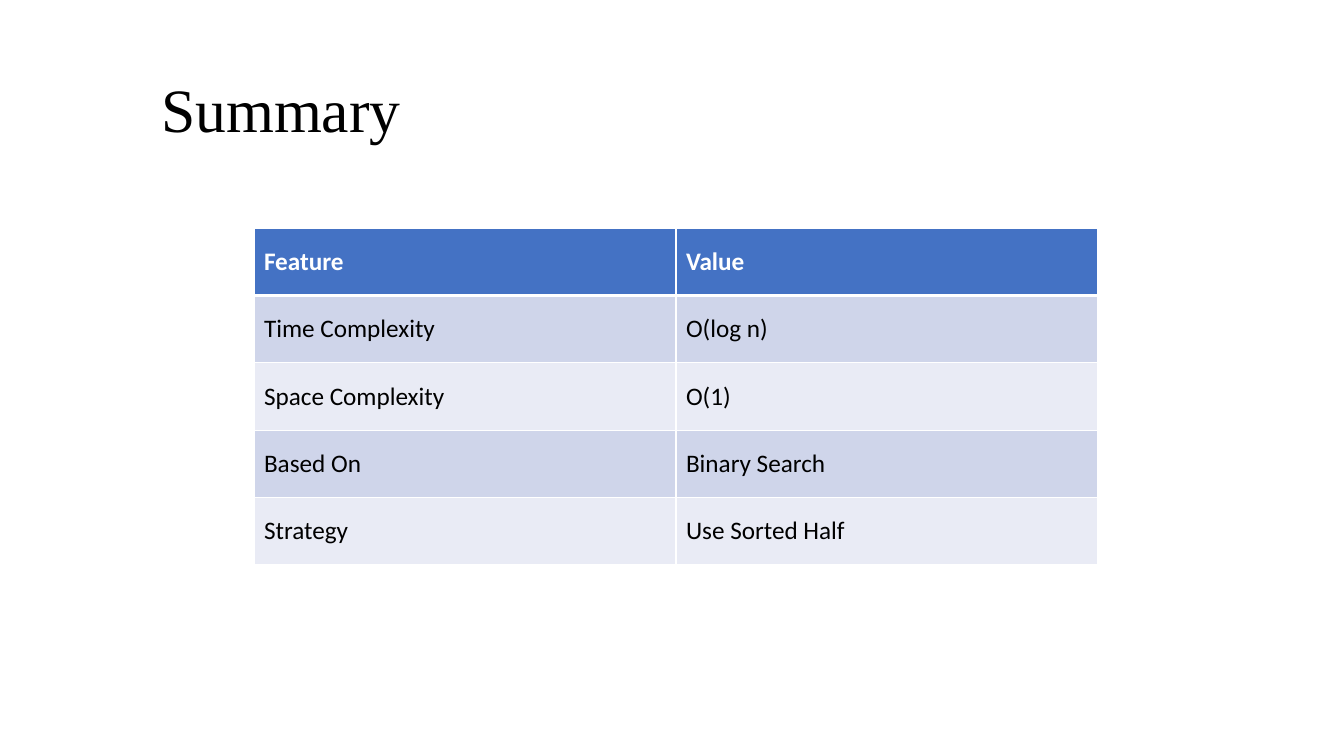
import pptx
import pptx.dml.color
import pptx.enum.text
import pptx.oxml
import pptx.oxml.ns
import pptx.util

EMU_PER_PX = 914400 / 100.8
ROWS = [
    ("Feature", "Value"),
    ("Time Complexity", "O(log n)"),
    ("Space Complexity", "O(1)"),
    ("Based On", "Binary Search"),
    ("Strategy", "Use Sorted Half"),
]
HEADER_FILL = "4472C4"
BAND_FILLS = ("CFD5EA", "E9EBF5")


def px(length):
    return pptx.util.Emu(round(length * EMU_PER_PX))


def color(value):
    return pptx.dml.color.RGBColor.from_string(value)


def write(frame, text, font="Calibri", size=18, fill="000000", bold=False, spacing=None):
    para = frame.paragraphs[0]
    para.alignment = pptx.enum.text.PP_ALIGN.LEFT
    para.line_spacing = spacing
    span = para.add_run()
    span.text = text
    span.font.name = font
    span.font.size = pptx.util.Pt(size)
    span.font.bold = bold
    span.font.color.rgb = color(fill)


def add_border(cell, side, points):
    width = pptx.util.Pt(points)
    cell._tc.get_or_add_tcPr().append(pptx.oxml.parse_xml(
        f'<a:ln{side} {pptx.oxml.ns.nsdecls("a")} w="{width}">'
        '<a:solidFill><a:srgbClr val="FFFFFF"/></a:solidFill>'
        f'</a:ln{side}>'
    ))


def add_title(page, left, top, width, height):
    title = page.shapes.title
    title.left, title.top = px(left), px(top)
    title.width, title.height = px(width), px(height)
    title.text_frame.vertical_anchor = pptx.enum.text.MSO_ANCHOR.MIDDLE
    write(title.text_frame, "Summary", font="Times New Roman", size=44, spacing=0.9)


def add_summary_table(page, left, top, width, height):
    table = page.shapes.add_table(
        len(ROWS), len(ROWS[0]), px(left), px(top), px(width), px(height)
    ).table
    for row_index, texts in enumerate(ROWS):
        header = row_index == 0
        fill = HEADER_FILL if header else BAND_FILLS[(row_index - 1) % 2]
        for column_index, text in enumerate(texts):
            cell = table.cell(row_index, column_index)
            cell.vertical_anchor = pptx.enum.text.MSO_ANCHOR.MIDDLE
            add_border(cell, "L", 1)
            add_border(cell, "R", 1)
            add_border(cell, "T", 3 if row_index == 1 else 1)
            add_border(cell, "B", 3 if header else 1)
            cell.fill.solid()
            cell.fill.fore_color.rgb = color(fill)
            write(cell.text_frame, text, fill="FFFFFF" if header else "000000", bold=header)


def main():
    deck = pptx.Presentation()
    deck.slide_width, deck.slide_height = px(1344), px(756)
    page = deck.slides.add_slide(deck.slide_layouts[5])
    add_title(page, 151, 40, 1159, 146)
    add_summary_table(page, 254, 228, 844, 337)
    deck.save("out.pptx")


if __name__ == "__main__":
    main()
